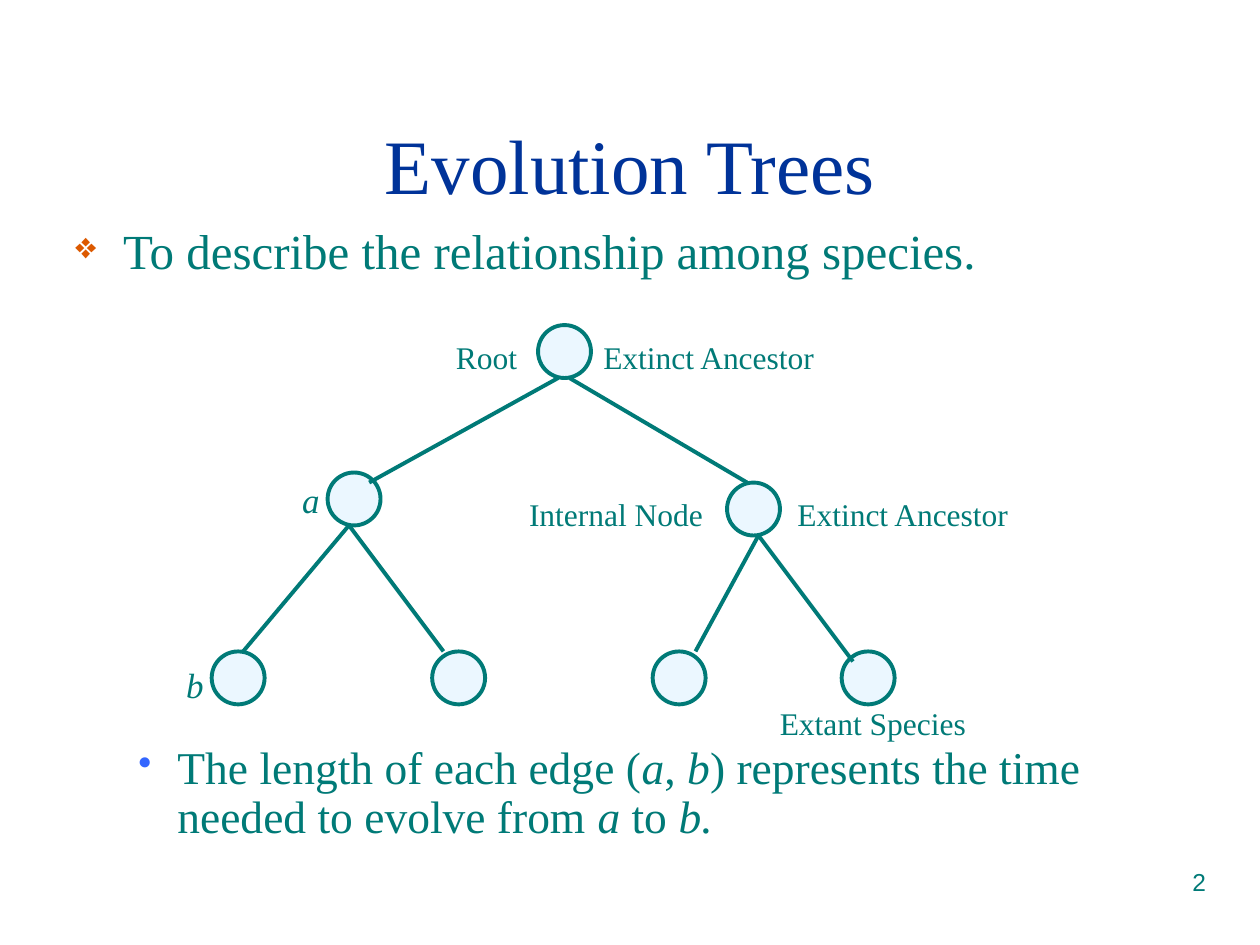
"""Build the Evolution Trees slide."""
from dataclasses import dataclass

from lxml import etree
from pptx import Presentation
from pptx.dml.color import RGBColor
from pptx.enum.shapes import MSO_CONNECTOR, MSO_SHAPE
from pptx.enum.text import MSO_ANCHOR, PP_ALIGN
from pptx.oxml.ns import qn
from pptx.util import Inches, Pt

OVAL = MSO_SHAPE.OVAL
STRAIGHT = MSO_CONNECTOR.STRAIGHT
LEFT, CENTER, RIGHT = PP_ALIGN.LEFT, PP_ALIGN.CENTER, PP_ALIGN.RIGHT
TOP, MIDDLE = MSO_ANCHOR.TOP, MSO_ANCHOR.MIDDLE


@dataclass(frozen=True)
class Theme:
    serif: str = "Times New Roman"
    sans: str = "Arial"
    title: str = "003399"
    ink: str = "007A77"
    node: str = "EBF7FF"
    diamond: str = "DC5900"
    dot: str = "3366FF"
    title_size: int = 44
    body_size: int = 28
    sub_size: int = 26
    letter_size: int = 20
    label_size: int = 18
    number_size: int = 14
    line: float = 2.25


THEME = Theme()
NODE_SIZE = 0.42
LEAF_TOP = 5.17
NODES = [(4.27, 2.58), (5.77, 3.83), (2.6, 3.75)] + [
    (x, LEAF_TOP) for x in (6.68, 5.18, 3.43, 1.68)]
EDGES = [
    ((4.43, 3), (2.93, 3.83)),
    ((4.52, 3), (5.93, 3.83)),
    ((2.77, 4.17), (1.93, 5.17)),
    ((2.77, 4.17), (3.52, 5.17)),
    ((6.02, 4.25), (5.52, 5.17)),
    ((6.02, 4.25), (6.77, 5.25)),
]
LABELS = [
    (3.52, 2.63, 3.06, "Root\tExtinct Ancestor", 1.17),
    (4.1, 3.88, 4.02, "Internal Node\tExtinct Ancestor", 2.13),
    (6.09, 5.54, 1.68, "Extant Species", None),
]
LETTERS = [(2.3, 3.75, "a"), (1.38, 5.22, "b")]
EDGE_NOTE = [
    ("The length of each edge (", False), ("a", True), (", ", False),
    ("b", True), (") represents the time needed to evolve from ", False),
    ("a", True), (" to ", False), ("b.", True),
]


def add_run(p, text, size, color=THEME.ink, font=THEME.serif, italic=False):
    r = p.add_run()
    r.text = text
    r.font.name = font
    r.font.size = Pt(size)
    r.font.italic = italic
    r.font.color.rgb = RGBColor.from_string(color)


def add_box(s, x, y, w, h, align=LEFT, anchor=TOP, wrap=True):
    tf = s.shapes.add_textbox(Inches(x), Inches(y), Inches(w), Inches(h)).text_frame
    tf.word_wrap = wrap
    tf.vertical_anchor = anchor
    tf.paragraphs[0].alignment = align
    return tf


def set_tab(p, pos):
    tabs = etree.SubElement(p._p.get_or_add_pPr(), qn("a:tabLst"))
    etree.SubElement(tabs, qn("a:tab"), pos=str(Inches(pos)), algn="l")


def set_bullet(p, char, color, percent, margin, hang):
    pPr = p._p.get_or_add_pPr()
    pPr.set("marL", str(Inches(margin)))
    pPr.set("indent", str(-Inches(hang)))
    clr = etree.SubElement(pPr, qn("a:buClr"))
    etree.SubElement(clr, qn("a:srgbClr"), val=color)
    etree.SubElement(pPr, qn("a:buSzPct"), val=str(percent * 1000))
    etree.SubElement(pPr, qn("a:buChar"), char=char)
    p.line_spacing = 0.9


def add_body(s):
    tf = add_box(s, 0.5, 1.75, 9, 5.42)
    p = tf.paragraphs[0]
    set_bullet(p, "❖", THEME.diamond, 75, 0.38, 0.38)
    add_run(p, "To describe the relationship among species.", THEME.body_size)
    p = tf.add_paragraph()
    p.level = 1
    set_bullet(p, "•", THEME.dot, 85, 0.81, 0.31)
    p.space_before = Pt(266)
    for text, italic in EDGE_NOTE:
        add_run(p, text, THEME.sub_size, italic=italic)


def add_node(s, x, y):
    sp = s.shapes.add_shape(OVAL, Inches(x), Inches(y),
                            Inches(NODE_SIZE), Inches(NODE_SIZE))
    sp.shadow.inherit = False
    sp.fill.solid()
    sp.fill.fore_color.rgb = RGBColor.from_string(THEME.node)
    sp.line.color.rgb = RGBColor.from_string(THEME.ink)
    sp.line.width = Pt(THEME.line)


def add_edge(s, start, end):
    cx = s.shapes.add_connector(STRAIGHT, *map(Inches, start + end))
    cx.line.color.rgb = RGBColor.from_string(THEME.ink)
    cx.line.width = Pt(THEME.line)
    etree.SubElement(cx._element.spPr, qn("a:effectLst"))


def add_label(s, x, y, w, text, tab):
    p = add_box(s, x, y, w, 0.4, wrap=tab is not None).paragraphs[0]
    if tab:
        set_tab(p, tab)
    add_run(p, text, THEME.label_size)


def main():
    prs = Presentation()
    prs.slide_width, prs.slide_height = Inches(10), Inches(7.5)
    s = prs.slides.add_slide(prs.slide_layouts[6])
    tf = add_box(s, 0.33, 0.67, 9.34, 1.25, CENTER, MIDDLE)
    add_run(tf.paragraphs[0], "Evolution Trees", THEME.title_size, THEME.title)
    add_body(s)
    for x, y in NODES:
        add_node(s, x, y)
    for start, end in EDGES:
        add_edge(s, start, end)
    for label in LABELS:
        add_label(s, *label)
    for x, y, letter in LETTERS:
        tf = add_box(s, x, y, 0.34, 0.44, wrap=False)
        add_run(tf.paragraphs[0], letter, THEME.letter_size, italic=True)
    tf = add_box(s, 7.17, 6.83, 2.5, 0.52, RIGHT)
    add_run(tf.paragraphs[0], "2", THEME.number_size, font=THEME.sans)
    prs.save("out.pptx")


if __name__ == "__main__":
    main()
